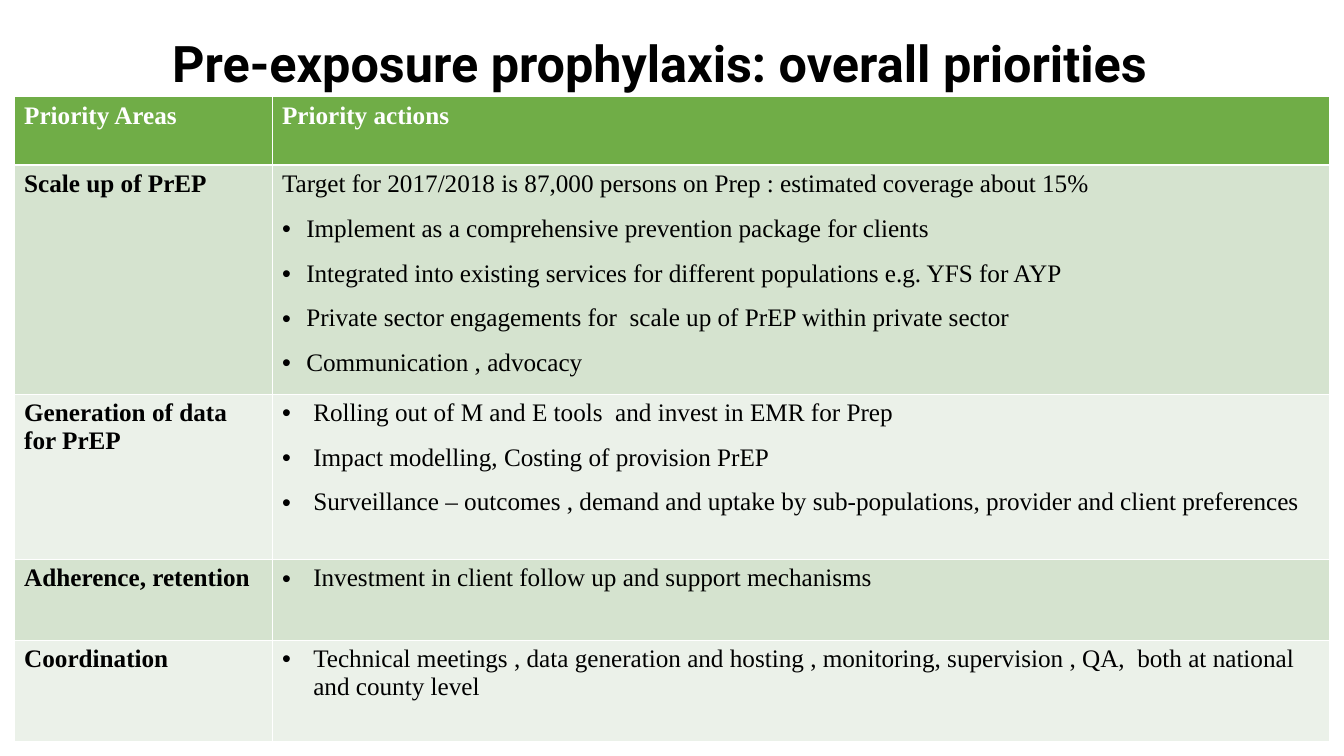
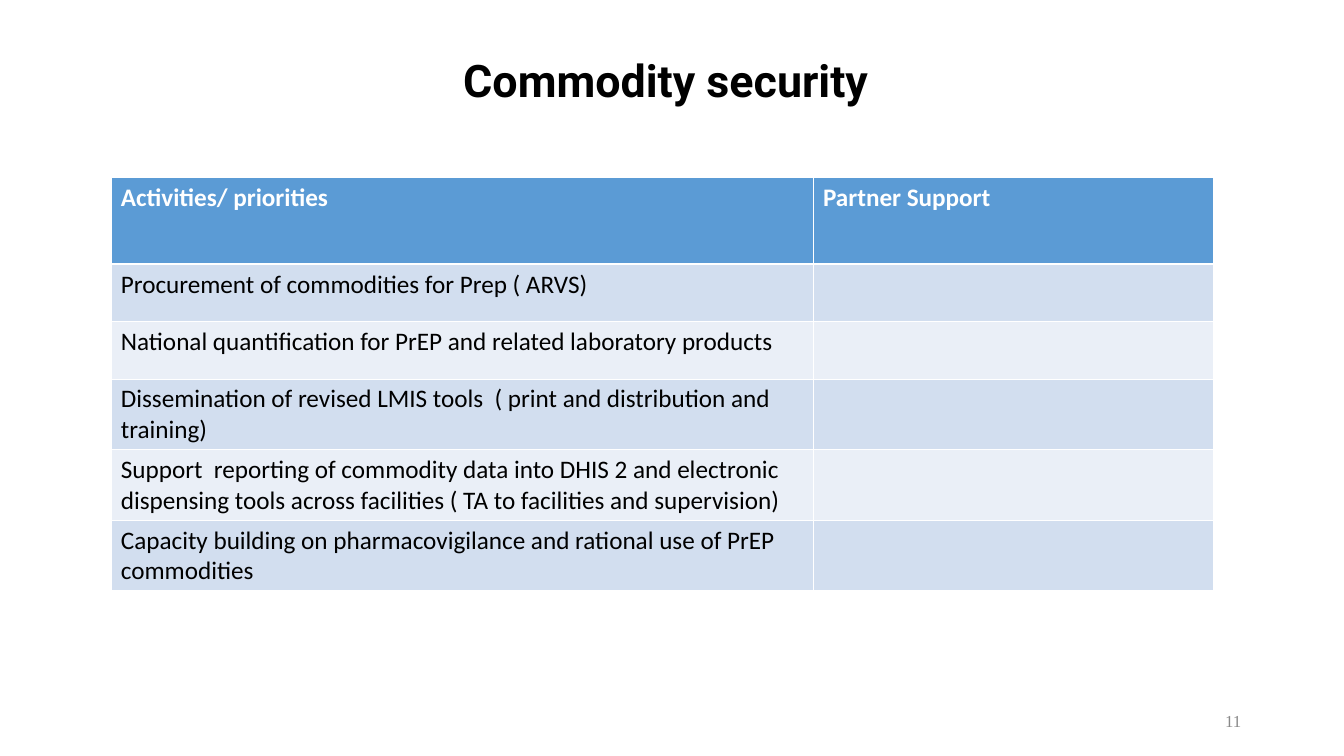
import pptx
import pptx.util
import pptx.dml.color
import pptx.enum.text
import pptx.oxml.ns
from lxml import etree

Inches, Pt = pptx.util.Inches, pptx.util.Pt
RGBColor = pptx.dml.color.RGBColor
ALIGN, ANCHOR = pptx.enum.text.PP_ALIGN, pptx.enum.text.MSO_ANCHOR
qn = pptx.oxml.ns.qn

# Shared style
BLACK = RGBColor(0x00, 0x00, 0x00)
WHITE = RGBColor(0xFF, 0xFF, 0xFF)
GREY = RGBColor(0x89, 0x89, 0x89)
GREENS = [RGBColor(0x70, 0xAD, 0x47), RGBColor(0xD5, 0xE3, 0xCF), RGBColor(0xEB, 0xF1, 0xE9)]
BLUES = [RGBColor(0x5B, 0x9B, 0xD5), RGBColor(0xD2, 0xDE, 0xEF), RGBColor(0xEA, 0xEF, 0xF7)]
TITLE_FONT, SERIF, SANS = "Roboto", "Times New Roman", "Calibri"
TABLE_SIZE = 18
THIN, THICK = 0.45, 1.47

# Content: a cell is a list of paragraphs; "• " opens a bullet
SLIDES = [
    {
        "title": "Pre-exposure prophylaxis: overall priorities",
        "title_box": (0.8, 0.19, 11.5, 0.94), "title_size": 36,
        "origin": (0.14, 0.96), "columns": [2.56, 10.49],
        "heights": [0.68, 2.27, 1.64, 0.8, 1],
        "font": SERIF, "fills": GREENS, "bold_first_column": True,
        "hanging": {1: 0.24}, "bottom_rows": (), "number": None,
        "rows": [
            (["Priority Areas"], ["Priority actions"]),
            (["Scale up of PrEP"],
             ["Target for 2017/2018 is 87,000 persons on Prep : estimated coverage about 15%",
              "• Implement as a comprehensive prevention package for clients",
              "• Integrated into existing services for different populations e.g. YFS for AYP",
              "• Private sector engagements for  scale up of PrEP within private sector",
              "• Communication , advocacy"]),
            (["Generation of data for PrEP"],
             ["• Rolling out of M and E tools  and invest in EMR for Prep",
              "• Impact modelling, Costing of provision PrEP",
              "• Surveillance – outcomes , demand and uptake by sub-populations, "
              "provider and client preferences"]),
            (["Adherence, retention"],
             ["• Investment in client follow up and support mechanisms"]),
            (["Coordination"],
             ["• Technical meetings , data generation and hosting , monitoring, supervision , QA,  "
              "both at national and county level"]),
        ],
    },
    {
        "title": "Commodity security",
        "title_box": (0.86, 0.4, 11.5, 0.84), "title_size": 32,
        "origin": (1.1, 1.76), "columns": [6.97, 3.97],
        "heights": [0.86, 0.57, 0.57, 0.6, 0.6, 0.6],
        "font": SANS, "fills": BLUES, "bold_first_column": False,
        "hanging": {}, "bottom_rows": (4, 5), "number": "11",
        "rows": [
            (["Activities/ priorities"], ["Partner Support"]),
            (["Procurement of commodities for Prep ( ARVS)"], []),
            (["National quantification for PrEP and related laboratory products"], []),
            (["Dissemination of revised LMIS tools  ( print and distribution and training)"], []),
            (["Support  reporting of commodity data into DHIS 2 and electronic dispensing tools "
              "across facilities ( TA to facilities and supervision)"], []),
            (["Capacity building on pharmacovigilance and rational use of PrEP commodities"], []),
        ],
    },
]
NUMBER_BOX = (9.42, 6.95, 3, 0.4)
HANGING = 0.31


def style_font(paragraph, name, size, color, bold=False):
    font = paragraph.font
    font.name, font.size, font.bold = name, Pt(size), bold
    font.color.rgb = color


def add_label(slide, box, text, align, *font):
    frame = slide.shapes.add_textbox(*map(Inches, box)).text_frame
    frame.word_wrap = True
    frame.vertical_anchor = ANCHOR.MIDDLE
    paragraph = frame.paragraphs[0]
    paragraph.text, paragraph.alignment = text, align
    style_font(paragraph, *font)
    return paragraph


def add_bullet(paragraph, hanging):
    properties = paragraph._p.get_or_add_pPr()
    properties.set("marL", str(Inches(hanging)))
    properties.set("indent", str(-Inches(hanging)))
    etree.SubElement(properties, qn("a:buFont")).set("typeface", "Arial")
    etree.SubElement(properties, qn("a:buChar")).set("char", "•")


def set_borders(cell, row):
    properties = cell._tc.get_or_add_tcPr()
    widths = {"L": THIN, "R": THIN, "T": THICK if row == 1 else THIN,
              "B": THICK if row == 0 else THIN}
    for side, width in widths.items():
        line = etree.SubElement(properties, qn(f"a:ln{side}"), w=str(Pt(width)))
        fill = etree.SubElement(line, qn("a:solidFill"))
        etree.SubElement(fill, qn("a:srgbClr"), val=str(WHITE))


def fill_cell(cell, lines, row, column, content):
    set_borders(cell, row)
    cell.fill.solid()
    cell.fill.fore_color.rgb = content["fills"][0 if row == 0 else 2 - row % 2]
    cell.vertical_anchor = ANCHOR.BOTTOM if row in content["bottom_rows"] else ANCHOR.TOP
    bold = row == 0 or (column == 0 and content["bold_first_column"])
    frame = cell.text_frame
    for index, line in enumerate(lines):
        paragraph = frame.add_paragraph() if index else frame.paragraphs[0]
        paragraph.text = line.removeprefix("• ")
        if index:
            paragraph.space_before = Pt(12)
        if line.startswith("• "):
            add_bullet(paragraph, content["hanging"].get(row, HANGING))
        style_font(paragraph, content["font"], TABLE_SIZE, BLACK if row else WHITE, bold)


def add_priority_table(slide, content):
    columns, heights = content["columns"], content["heights"]
    box = (*content["origin"], sum(columns), sum(heights))
    table = slide.shapes.add_table(len(heights), len(columns), *map(Inches, box)).table
    for column, width in zip(table.columns, columns):
        column.width = Inches(width)
    for row, height in zip(table.rows, heights):
        row.height = Inches(height)
    for row, cells in enumerate(content["rows"]):
        for column, lines in enumerate(cells):
            fill_cell(table.cell(row, column), lines, row, column, content)


def main():
    presentation = pptx.Presentation()
    presentation.slide_width, presentation.slide_height = Inches(13.34), Inches(7.5)
    for content in SLIDES:
        slide = presentation.slides.add_slide(presentation.slide_layouts[6])
        title = add_label(slide, content["title_box"], content["title"], ALIGN.CENTER,
                          TITLE_FONT, content["title_size"], BLACK, True)
        title.line_spacing = 0.9
        add_priority_table(slide, content)
        if content["number"]:
            add_label(slide, NUMBER_BOX, content["number"], ALIGN.RIGHT, SERIF, 12, GREY)
    presentation.save("out.pptx")


if __name__ == "__main__":
    main()
